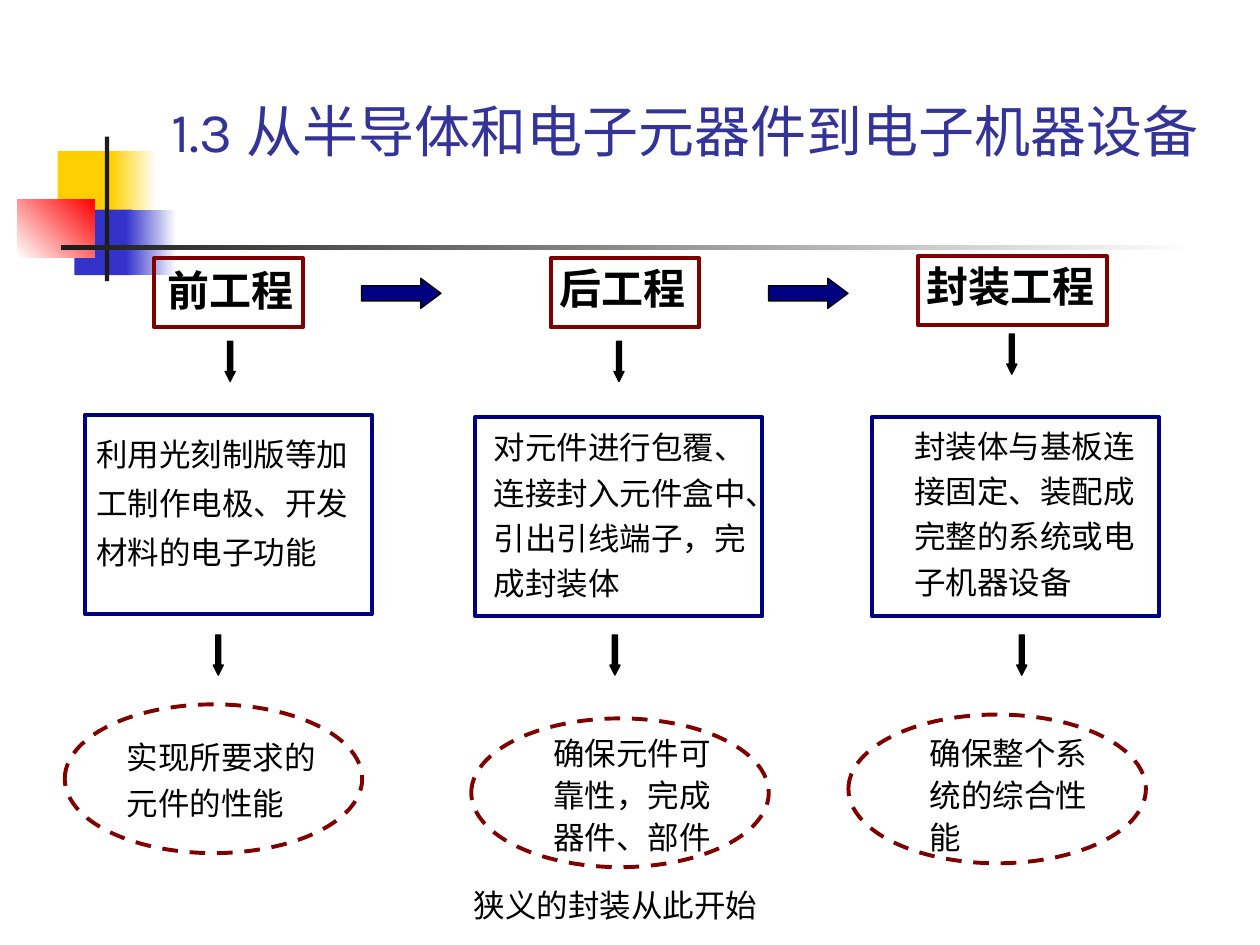
"""Build a slide on the three stages from components to electronic machines."""
from dataclasses import dataclass

from pptx import Presentation
from pptx.dml.color import RGBColor
from pptx.enum.dml import MSO_LINE
from pptx.enum.shapes import MSO_SHAPE
from pptx.enum.text import MSO_ANCHOR
from pptx.util import Pt

RECT = MSO_SHAPE.RECTANGLE
OVAL = MSO_SHAPE.OVAL
RIGHT = MSO_SHAPE.RIGHT_ARROW
DOWN = MSO_SHAPE.DOWN_ARROW
DASH = MSO_LINE.DASH
MIDDLE = MSO_ANCHOR.MIDDLE


@dataclass(frozen=True)
class Theme:
    """Colours, fonts and type sizes."""
    title: str = "333399"
    ink: str = "000000"
    navy: str = "000080"
    maroon: str = "800000"
    gold: str = "FFCF01"
    blue: str = "3333CC"
    red: str = "FF0000"
    dark: str = "1C1C1C"
    white: str = "FFFFFF"
    body_font: str = "Arial"
    title_font: str = "Karla"
    title_size: int = 32
    head_size: int = 24
    body_size: int = 18


@dataclass(frozen=True)
class Label:
    """Words with their box and line spacing."""
    text: str
    box: tuple
    lead: float = 1.0


@dataclass(frozen=True)
class Stage:
    """One column: heading, task and goal with frames and arrows."""
    head: Label
    head_box: tuple
    task: Label
    task_spot: tuple
    goal: Label
    goal_spot: tuple
    arrows: tuple


THEME = Theme()
TASK_SIZE = (164, 114)
GOAL_SIZE = (170, 85)
DOWN_SIZE = (5.8, 23)
NEXT_SIZE = (45.4, 17.3)

STAGES = (
    Stage(Label("前工程", (88.5, 147.5, 86.4, 36)), (88, 147.5, 85, 39.6),
          Label("利用光刻制版等加工制作电极、开发材料的电子功能",
                (48, 238.5, 160.5, 91.5), 1.3), (48.5, 237),
          Label("实现所要求的元件的性能", (65.3, 414, 127, 59), 1.2), (37, 402.5),
          ((128.6, 195), (121.8, 362.8))),
    Stage(Label("后工程", (312.5, 146.3, 86.4, 36)), (314.7, 147.5, 85, 39.6),
          Label("对元件进行包覆、连接封入元件盒中、引出引线端子，完成封装体",
                (275, 237, 160.5, 111), 1.2), (271.7, 238.3),
          Label("确保元件可靠性，完成器件、部件", (309, 414, 115, 78.5), 1.1), (269.3, 410.5),
          ((350.8, 195), (348.5, 362.8))),
    Stage(Label("封装工程", (522.5, 145.2, 110.2, 36)), (524.5, 146.3, 108, 39.6),
          Label("封装体与基板连接固定、装配成完整的系统或电子机器设备",
                (515.5, 236, 155, 111), 1.2), (498.3, 238.3),
          Label("确保整个系统的综合性能", (524.3, 414, 118.8, 78.5), 1.1), (484.8, 408.3),
          ((575.3, 190.8), (581, 362.8))),
)


def tint(hue):
    """Turn a hex string into a colour."""
    return RGBColor.from_string(hue)


def points(box):
    """Turn a box of numbers into lengths in points."""
    return [Pt(n) for n in box]


def add_shape(slide, kind, box):
    """Add a preset shape without shadow."""
    shape = slide.shapes.add_shape(kind, *points(box))
    shape.shadow.inherit = False
    return shape


def add_block(slide, box, start, end=None, angle=0):
    """Add a borderless block, plain or fading from start to end."""
    block = add_shape(slide, RECT, box)
    block.line.fill.background()
    if end is None:
        block.fill.solid()
        block.fill.fore_color.rgb = tint(start)
        return
    block.fill.gradient()
    block.fill.gradient_angle = angle
    for stop, hue in zip(block.fill.gradient_stops, (start, end)):
        stop.color.rgb = tint(hue)


def add_frame(slide, kind, box, hue, dash=None):
    """Add an outline with no fill."""
    frame = add_shape(slide, kind, box)
    frame.fill.background()
    frame.line.color.rgb = tint(hue)
    frame.line.width = Pt(2.25)
    if dash:
        frame.line.dash_style = dash


def add_arrow(slide, kind, spot, size, hue, tip):
    """Add a filled block arrow."""
    arrow = add_shape(slide, kind, spot + size)
    arrow.adjustments[1] = tip
    arrow.fill.solid()
    arrow.fill.fore_color.rgb = tint(hue)
    arrow.line.color.rgb = tint(THEME.ink)
    arrow.line.width = Pt(0.75)


def add_text(slide, label, size, font=THEME.body_font, hue=THEME.ink, bold=False, wrap=True):
    """Add a text box and return its frame."""
    frame = slide.shapes.add_textbox(*points(label.box)).text_frame
    frame.word_wrap = wrap
    frame.text = label.text
    para = frame.paragraphs[0]
    para.line_spacing = label.lead
    face = para.runs[0].font
    face.name, face.size, face.bold = font, Pt(size), bold
    face.color.rgb = tint(hue)
    return frame


def add_decor(slide):
    """Add the coloured blocks and the crossing rules."""
    add_block(slide, (33, 86.4, 34.6, 37.4), THEME.gold)
    add_block(slide, (63.4, 86.4, 26, 37.4), THEME.gold, THEME.white)
    add_block(slide, (42.5, 119.8, 33, 37.4), THEME.blue)
    add_block(slide, (72, 119.8, 28.8, 37.4), THEME.blue, THEME.white)
    add_block(slide, (10, 113.8, 44, 33.3), THEME.white, THEME.red, 45)
    add_block(slide, (59.9, 78, 2.5, 82.7), THEME.dark)
    add_block(slide, (34.7, 140.2, 648, 2.5), THEME.dark, THEME.white)


def add_stage(slide, stage):
    """Add one column from heading to goal."""
    add_text(slide, stage.head, THEME.head_size, bold=True, wrap=False)
    add_frame(slide, RECT, stage.head_box, THEME.maroon)
    add_text(slide, stage.task, THEME.body_size)
    add_frame(slide, RECT, stage.task_spot + TASK_SIZE, THEME.navy)
    add_text(slide, stage.goal, THEME.body_size)
    add_frame(slide, OVAL, stage.goal_spot + GOAL_SIZE, THEME.maroon, DASH)
    for spot in stage.arrows:
        add_arrow(slide, DOWN, spot, DOWN_SIZE, THEME.ink, 0.99)


def main():
    """Build and save the slide."""
    deck = Presentation()
    deck.slide_width, deck.slide_height = Pt(720), Pt(540)
    slide = deck.slides.add_slide(deck.slide_layouts[6])
    add_decor(slide)
    title = Label("1.3 从半导体和电子元器件到电子机器设备", (90.7, 16.6, 613.5, 115.2))
    frame = add_text(slide, title, THEME.title_size, THEME.title_font, THEME.title)
    frame.vertical_anchor = MIDDLE
    for stage in STAGES:
        add_stage(slide, stage)
    for left in (206.6, 439.2):
        add_arrow(slide, RIGHT, (left, 159), NEXT_SIZE, THEME.navy, 0.67)
    note = Label("狭义的封装从此开始", (263.5, 502.5, 181.4, 28.8))
    add_text(slide, note, THEME.body_size)
    deck.save("out.pptx")


if __name__ == "__main__":
    main()
